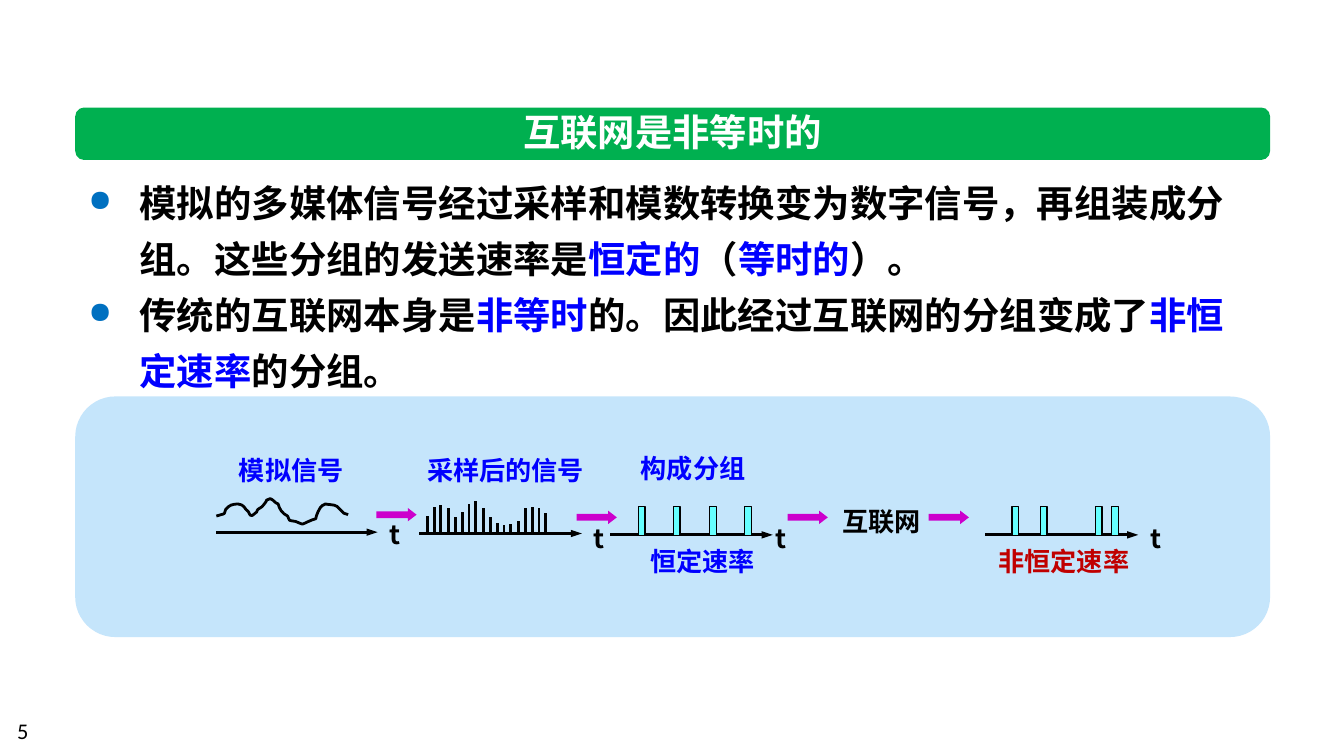
from pptx import Presentation
from pptx import util as u
from pptx.dml.color import RGBColor
from pptx.enum import shapes, text
from pptx.oxml.ns import qn
from lxml import etree

PX = 9144  # EMU in one px, 100 px to the inch
CJK = "Noto Sans CJK SC"
BLACK, BLUE, RED, WHITE = "000000", "0000FF", "C00000", "FFFFFF"
GREEN, PALE, PURPLE, CYAN, BULLET = "00B050", "C5E5FB", "CC00CC", "66FFFF", "0070C0"

# Content
TITLE = "互联网是非等时的"
POINTS = [
    [("模拟的多媒体信号经过采样和模数转换变为数字信号，再组装成分组。这些分组的发送速率是", BLACK),
     ("恒定的", BLUE), ("（", BLACK), ("等时的", BLUE), ("）。", BLACK)],
    [("传统的互联网本身是", BLACK), ("非等时", BLUE),
     ("的。因此经过互联网的分组变成了", BLACK), ("非恒定速率", BLUE), ("的分组。", BLACK)],
]
LABELS = [  # wording, left, top, width, colour
    ("模拟信号", 168, 333, 100, BLUE), ("采样后的信号", 308, 333, 140, BLUE),
    ("构成分组", 467, 332, 100, BLUE), ("恒定速率", 474, 401, 100, BLUE),
    ("非恒定速率", 733, 401, 120, RED), ("互联网", 617, 371, 80, BLACK),
    ("t", 280, 381, 29, BLACK), ("t", 432, 384, 29, BLACK),
    ("t", 567, 384, 29, BLACK), ("t", 846, 384, 29, BLACK),
]
AXES = [(161, 281, 396), (312, 433, 397), (454, 575, 398), (733, 847, 398)]  # from, to, y
STEPS = [(280, 378), (429, 380), (586, 380), (691, 380)]  # block arrows
SAMPLE_TOPS = [384, 377, 376, 378, 385, 381, 375, 373, 378,
               385, 389, 391, 390, 388, 378, 377, 378, 382]
EVEN_PACKETS = [475, 501, 528, 554]
UNEVEN_PACKETS = [753, 774, 815, 827]
WAVE_START = (161, 384)
WAVE = [  # two control points and an end point for each curve
    (163, 383), (166, 383), (167, 382), (168, 381), (168, 380), (168, 379),
    (168, 379), (169, 378), (170, 377), (172, 375), (177, 375), (177, 375),
    (183, 376), (181, 378), (185, 381), (187, 386), (188, 383), (191, 381),
    (191, 380), (192, 379), (192, 379), (193, 378), (194, 378), (195, 377),
    (202, 369), (195, 374), (201, 371), (204, 372), (204, 374), (207, 375),
    (208, 379), (210, 382), (214, 384), (216, 388), (214, 387), (220, 388),
    (222, 389), (225, 390), (225, 390), (228, 389), (231, 387), (235, 386),
    (235, 384), (238, 377), (240, 376), (240, 376), (241, 376), (242, 375),
    (248, 376), (250, 375), (253, 379), (255, 380), (254, 381), (255, 381),
    (255, 382), (255, 382), (256, 382), (257, 382), (259, 383), (259, 383),
]

deck = Presentation()
deck.slide_width = 1000 * PX
deck.slide_height = deck.slide_width * 9 // 16
page = deck.slides.add_slide(deck.slide_layouts[5])


def colour(value):
    return RGBColor.from_string(value)


def place(*lengths):
    return [length * PX for length in lengths]


def add_span(para, wording, ink, size=14, font=CJK, bold=True):
    span = para.add_run()
    span.text = wording
    for key, value in dict(size=u.Pt(size), name=font, bold=bold).items():
        setattr(span.font, key, value)
    span.font.color.rgb = colour(ink)
    east = etree.SubElement(span.font._element, qn("a:ea"))
    east.set("typeface", font)


def set_frame(box, wrap, grow=True):
    fit = text.MSO_AUTO_SIZE
    form = dict(word_wrap=wrap, vertical_anchor=text.MSO_ANCHOR.TOP,
                auto_size=fit.SHAPE_TO_FIT_TEXT if grow else fit.NONE)
    for key, value in form.items():
        setattr(box.text_frame, key, value)
    return box.text_frame


def add_box(left, top, width, height, wrap=False, grow=True):
    return set_frame(page.shapes.add_textbox(*place(left, top, width, height)), wrap, grow)


def paint(shape, fill=None, weight=None):
    shape.shadow.inherit = False
    if fill:
        shape.fill.solid()
        shape.fill.fore_color.rgb = colour(fill)
    else:
        shape.fill.background()
    if weight:
        shape.line.width = u.Pt(weight)
        shape.line.color.rgb = colour(BLACK)
    else:
        shape.line.fill.background()


def add_block(kind, area, fill):
    block = page.shapes.add_shape(kind, *place(*area))
    paint(block, fill)
    return block


def add_line(x1, y1, x2, y2, arrow=False):
    line = page.shapes.add_connector(shapes.MSO_CONNECTOR.STRAIGHT, *place(x1, y1, x2, y2))
    line.line.width = u.Pt(1.5)
    line.line.color.rgb = colour(BLACK)
    if arrow:
        tip = etree.SubElement(line.line._get_or_add_ln(), qn("a:tailEnd"))
        tip.set("type", "triangle")
        tip.set("w", "sm")
    etree.SubElement(line._element.spPr, qn("a:effectLst"))


def add_outline(start, points, fill, weight):
    builder = page.shapes.build_freeform(*start, scale=PX)
    builder.add_line_segments(points, close=False)
    outline = builder.convert_to_shape()
    paint(outline, fill, weight)
    return outline


# Panel and heading bar
add_block(shapes.MSO_SHAPE.ROUNDED_RECTANGLE, (56, 295, 889, 179), PALE)
add_block(shapes.MSO_SHAPE.ROUNDED_RECTANGLE, (56, 80, 889, 39), GREEN)

# Title, brought in front of its bar
title = page.shapes.title
title.left, title.top, title.width, title.height = place(374, 76, 253, 44)
title.element.getparent().append(title.element)
para = set_frame(title, False).paragraphs[0]
para.alignment = text.PP_ALIGN.CENTER
add_span(para, TITLE, WHITE, 20)

# Bulleted points
frame = add_box(56, 121, 889, 175, wrap=True)
for index, spans in enumerate(POINTS):
    para = frame.add_paragraph() if index else frame.paragraphs[0]
    para.line_spacing = u.Pt(30)
    props = para._p.get_or_add_pPr()
    props.set("marL", str(38 * PX))
    props.set("indent", str(-38 * PX))
    tint = etree.SubElement(props, qn("a:buClr"))
    etree.SubElement(tint, qn("a:srgbClr")).set("val", BULLET)
    etree.SubElement(props, qn("a:buSzPct")).set("val", "80000")
    etree.SubElement(props, qn("a:buChar")).set("char", "●")
    for wording, ink in spans:
        add_span(para, wording, ink, 20)

# Time axes and block arrows between the stages
for start, end, y in AXES:
    add_line(start, y, end, y, arrow=True)
for left, top in STEPS:
    step = add_block(shapes.MSO_SHAPE.RIGHT_ARROW, (left, top, 30, 10), PURPLE)
    step.adjustments[0], step.adjustments[1] = 0.5, 0.65

# Analogue wave: each three points become one curve
wave = add_outline(WAVE_START, WAVE, None, 1.5)
legs = list(wave.element.iter(qn("a:lnTo")))
for first in range(0, len(legs), 3):
    curve = etree.Element(qn("a:cubicBezTo"))
    legs[first].addprevious(curve)
    for leg in legs[first:first + 3]:
        curve.append(leg[0])
        leg.getparent().remove(leg)

# Samples at equal gaps
for index, top in enumerate(SAMPLE_TOPS):
    x = round(318 + 5.2 * index)
    add_line(x, 397, x, top)

# Packets, open at the axis
for x in EVEN_PACKETS + UNEVEN_PACKETS:
    add_outline((x, 398), [(x, 377), (x + 5, 377), (x + 5, 398)], CYAN, 0.75)

# Labels and page number
for wording, left, top, width, ink in LABELS:
    add_span(add_box(left, top, width, 34).paragraphs[0], wording, ink)
number = add_box(3, 529, 233, 30, wrap=True, grow=False)
add_span(number.paragraphs[0], "5", BLACK, 12, "Calibri", False)

deck.save("out.pptx")
